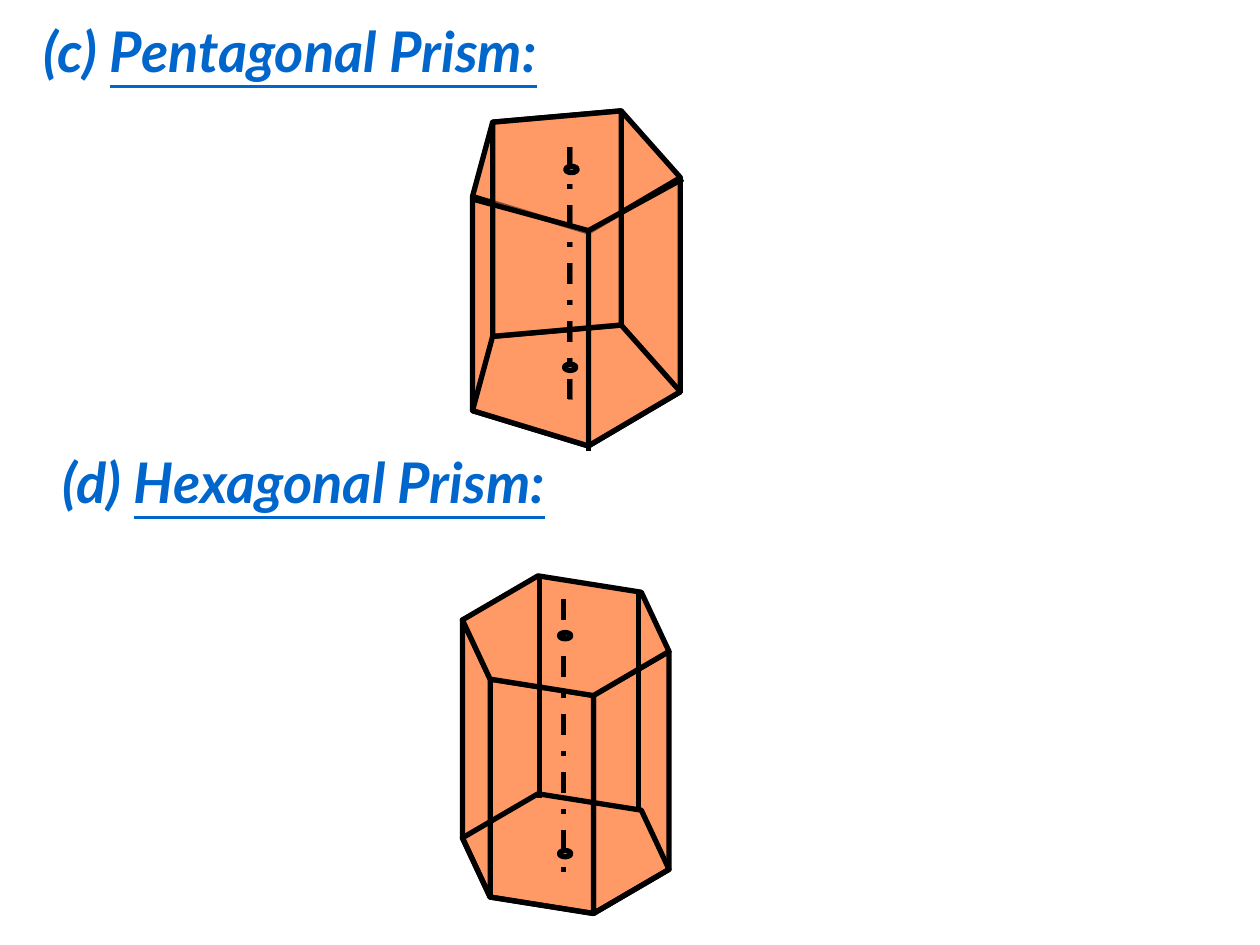
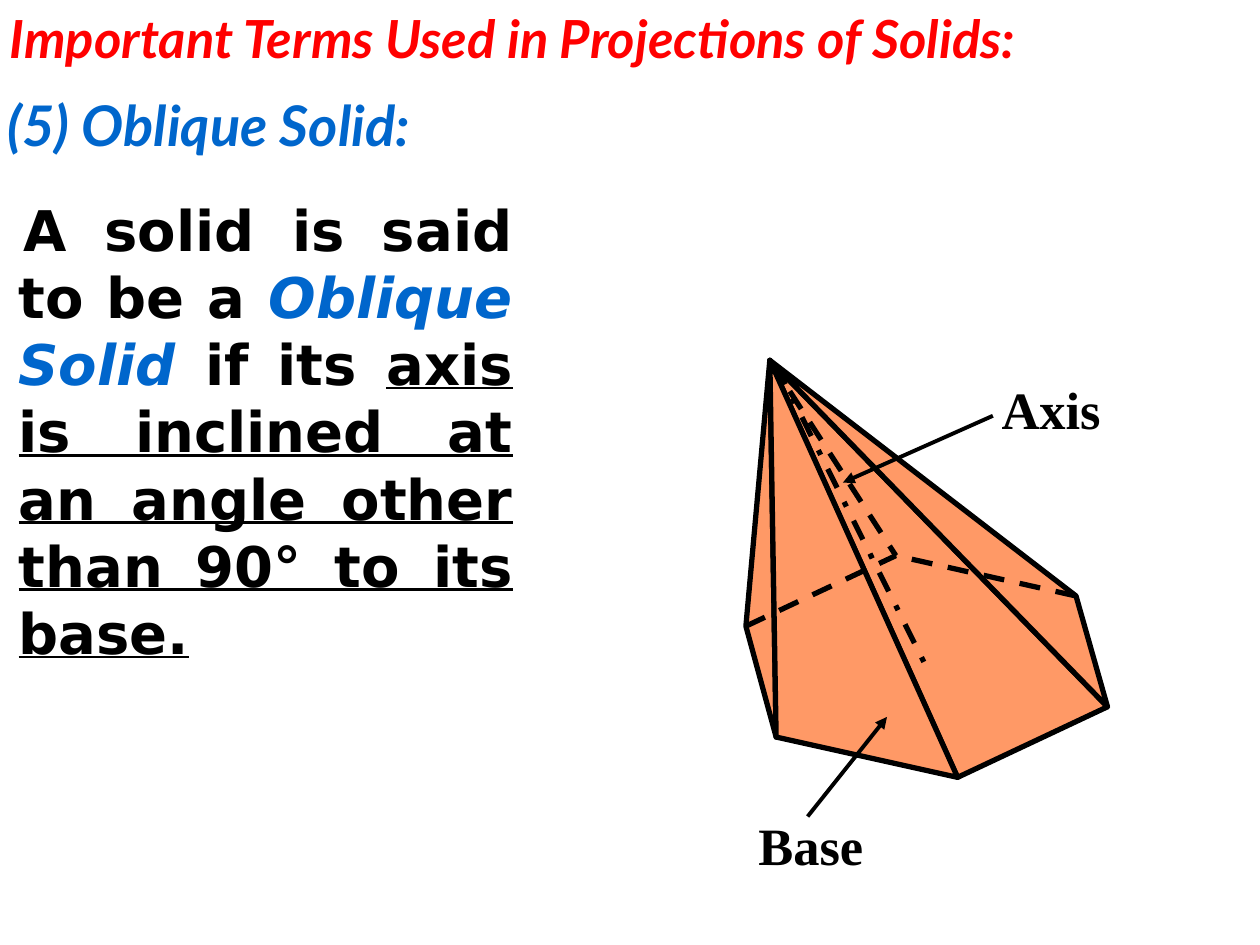
from lxml import etree
from pptx import Presentation
from pptx import util as u
from pptx.dml.color import RGBColor
from pptx.enum import dml, shapes, text
from pptx.oxml.ns import qn

PX = 9144
HUE = {"blue": "0066CC", "red": "FF0000", "ink": "000000", "face": "FF9966"}
DASH = {"dash": dml.MSO_LINE.DASH, "dot": dml.MSO_LINE.DASH_DOT}


def poly(slide, pts, alpha=None, fill=True):
    path = slide.shapes.build_freeform(*pts[0], scale=PX)
    path.add_line_segments(pts[1:], close=True)
    shape = path.convert_to_shape()
    shape.shadow.inherit = False
    if fill:
        shape.fill.solid()
        shape.fill.fore_color.rgb = RGBColor.from_string(HUE["face"])
    else:
        shape.fill.background()
    if alpha:
        tint = shape._element.spPr.find(qn("a:solidFill"))[0]
        etree.SubElement(tint, qn("a:alpha")).set("val", str(alpha * 1000))
    shape.line.color.rgb = RGBColor.from_string(HUE["ink"])
    shape.line.width = u.Pt(3)


def edge(slide, start, end, dash=None, width=3, arrow=False):
    line = slide.shapes.add_connector(
        shapes.MSO_CONNECTOR.STRAIGHT, *[n * PX for n in start + end])
    line.line.color.rgb = RGBColor.from_string(HUE["ink"])
    line.line.width = u.Pt(width)
    if dash:
        line.line.dash_style = DASH[dash]
    if arrow:
        tip = etree.SubElement(line.line._get_or_add_ln(), qn("a:tailEnd"))
        tip.set("type", "triangle")
    etree.SubElement(line._element.spPr, qn("a:effectLst"))


deck = Presentation()
deck.slide_width, deck.slide_height = 1000 * PX, 750 * PX
prism, solid = [deck.slides.add_slide(deck.slide_layouts[6]) for _ in range(2)]

JUST, LEFT = text.PP_ALIGN.JUSTIFY, text.PP_ALIGN.LEFT
HEAD = ("Lato", 32, "blue", "bi")
BODY = ("DejaVu Sans", 32, "ink", "b")
MARK = ("Times New Roman", 30, "ink", "b")
boxes = [
    (prism, (25, 8, 533, 63), JUST, (38, -38),
     [("(c) ", HEAD), ("Pentagonal Prism:", HEAD[:3] + ("biu",))]),
    (prism, (40, 350, 533, 63), JUST, (38, -38),
     [("(d) ", HEAD), ("Hexagonal Prism:", HEAD[:3] + ("biu",))]),
    (solid, (-2, 0, 1033, 60), JUST, (0, 0),
     [("Important Terms Used in Projections of Solids:", ("Lato", 30, "red", "bi"))]),
    (solid, (-4, 67, 417, 63), JUST, (38, -38), [("(5) Oblique Solid:", HEAD)]),
    (solid, (-33, 150, 450, 383), JUST, (38, 4),
     [("A solid is said to be a ", BODY),
      ("Oblique Solid ", ("DejaVu Sans", 32, "blue", "bi")),
      ("if its ", BODY),
      ("axis is inclined at an angle other than 90° to its base.", BODY[:3] + ("bu",))]),
    (solid, (785, 294, 108, 60), LEFT, (0, 0), [("Axis", MARK)]),
    (solid, (592, 640, 108, 60), LEFT, (0, 0), [("Base", MARK)]),
]
for slide, place, align, (left, first), runs in boxes:
    frame = slide.shapes.add_textbox(*[n * PX for n in place]).text_frame
    frame.word_wrap = True
    frame.auto_size = text.MSO_AUTO_SIZE.SHAPE_TO_FIT_TEXT
    para = frame.paragraphs[0]
    para.alignment = align
    props = para._p.get_or_add_pPr()
    props.set("marL", str(left * PX))
    props.set("indent", str(first * PX))
    for words, (face, size, hue, style) in runs:
        run = para.add_run()
        run.text = words
        font = run.font
        font.name, font.size = face, u.Pt(size)
        font.color.rgb = RGBColor.from_string(HUE[hue])
        font.bold, font.italic, font.underline = [key in style for key in "biu"]

penta = [(467, 184), (540, 141), (493, 88), (391, 97), (375, 156)]
low = [(x, y + 170) for x, y in penta]
for i in (0, -1):
    poly(prism, [penta[i], penta[i + 1], low[i + 1], low[i]])
poly(prism, penta)
edge(prism, (453, 117), (453, 322), "dot")
poly(prism, low, 50)
poly(prism, [penta[2], penta[3], low[3], low[2]], 50)
edge(prism, (467, 183), (467, 358))
edge(prism, (542, 142), (467, 183))
edge(prism, (375, 158), (467, 183))
edge(prism, (452, 117), (452, 317), "dot")

hexa = [(471, 552), (531, 517), (509, 470), (427, 457), (367, 492), (389, 539)]
low = [(x, y + 173) for x, y in hexa]
for i in (0, -1, -2):
    poly(prism, [hexa[i], hexa[i + 1], low[i + 1], low[i]])
poly(prism, hexa)
poly(prism, low, fill=False)
edge(prism, (507, 468), (507, 643))
edge(prism, (428, 458), (428, 633))
edge(prism, (447, 475), (447, 700), "dot")

for x, y in [(449, 132), (448, 289), (444, 502), (444, 675)]:
    ring = prism.shapes.add_shape(
        shapes.MSO_SHAPE.OVAL, x * PX, y * PX, 9 * PX, 5 * PX)
    ring.shadow.inherit = False
    ring.fill.background()
    ring.line.color.rgb = RGBColor.from_string(HUE["ink"])
    ring.line.width = u.Pt(3)

apex = (611, 286)
base = [(616, 585), (760, 617), (879, 561), (854, 473), (711, 441), (592, 497)]
for i in (-1, 1, 2, 0):
    poly(solid, [apex, base[i], base[i + 1]])
for end in (base[5], base[3], apex):
    edge(solid, end, base[4], "dash")
edge(solid, (616, 290), (735, 529), "dot")
edge(solid, (788, 330), (669, 383), width=2.25, arrow=True)
edge(solid, (641, 648), (704, 569), width=2.25, arrow=True)

deck.save("out.pptx")
